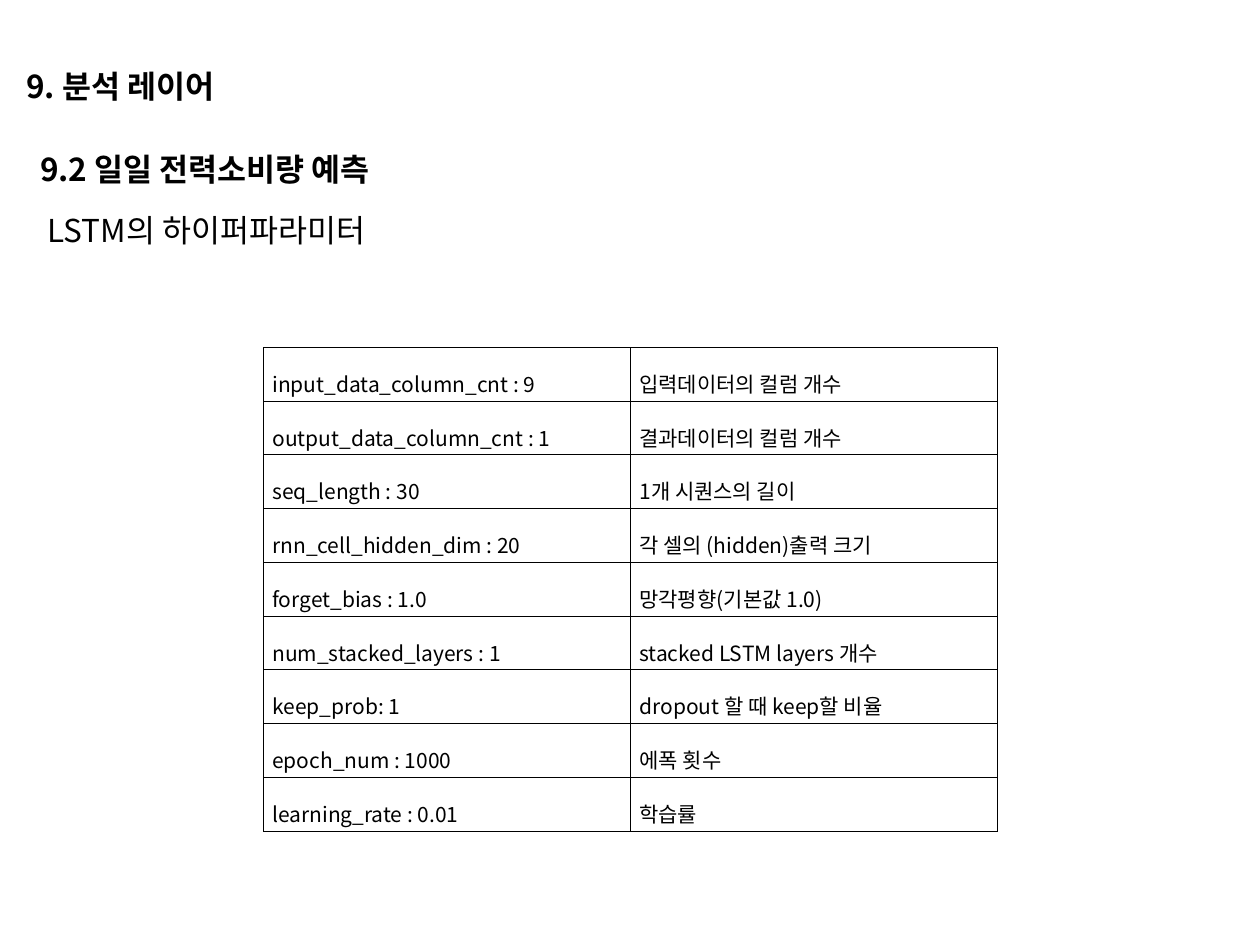
import pptx
import pptx.dml.color
import pptx.enum.text
import pptx.oxml
import pptx.oxml.ns
import pptx.util
from pptx.util import Cm

FONT = "Noto Sans CJK KR"
BLACK = "000000"
HYPERPARAMETERS = [
    ("input_data_column_cnt : 9", "입력데이터의 컬럼 개수"),
    ("output_data_column_cnt : 1", "결과데이터의 컬럼 개수"),
    ("seq_length : 30", "1개 시퀀스의 길이"),
    ("rnn_cell_hidden_dim : 20", "각 셀의 (hidden)출력 크기"),
    ("forget_bias : 1.0", "망각평향(기본값 1.0)"),
    ("num_stacked_layers : 1", "stacked LSTM layers 개수"),
    ("keep_prob: 1", "dropout 할 때 keep할 비율"),
    ("epoch_num : 1000", "에폭 횟수"),
    ("learning_rate : 0.01", "학습률"),
]


def color(hex_string):
    return pptx.dml.color.RGBColor.from_string(hex_string)


def format_text(text_frame, size, bold=False):
    for paragraph in text_frame.paragraphs:
        for run in paragraph.runs:
            run.font.name = FONT
            run.font.size = pptx.util.Pt(size)
            run.font.bold = bold
            run.font.color.rgb = color(BLACK)
            east_asian = pptx.oxml.parse_xml(
                f'<a:ea {pptx.oxml.ns.nsdecls("a")} typeface="{FONT}"/>')
            run.font._element.find(pptx.oxml.ns.qn("a:latin")).addnext(east_asian)


def add_heading(slide, text, left, top, width, bold=True, wrap=False):
    shape = slide.shapes.add_textbox(left, top, width, Cm(1.02))
    text_frame = shape.text_frame
    text_frame.word_wrap = wrap
    text_frame.auto_size = pptx.enum.text.MSO_AUTO_SIZE.SHAPE_TO_FIT_TEXT
    text_frame.text = text
    format_text(text_frame, 18, bold)
    return shape


def add_headings(slide, left, top):
    add_heading(slide, "9. 분석 레이어", left, top, Cm(4.72))
    add_heading(slide, "9.2 일일 전력소비량 예측", left + Cm(0.28), top + Cm(1.68), Cm(7.87))
    subject = add_heading(slide, "LSTM의 하이퍼파라미터", left + Cm(0.28), top + Cm(2.9),
                          Cm(22.2), bold=False, wrap=True)
    subject.text_frame.margin_left = Cm(0.4)


def add_borders(cell, width):
    properties = cell._tc.get_or_add_tcPr()
    for position, side in enumerate(("lnL", "lnR", "lnT", "lnB")):
        properties.insert(position, pptx.oxml.parse_xml(
            f'<a:{side} {pptx.oxml.ns.nsdecls("a")} w="{int(width)}">'
            f'<a:solidFill><a:srgbClr val="{BLACK}"/></a:solidFill></a:{side}>'))


def fill_cell(cell, text):
    cell.text_frame.text = text
    cell.text_frame.paragraphs[0].line_spacing = 1.6
    format_text(cell.text_frame, 12)
    cell.vertical_anchor = pptx.enum.text.MSO_ANCHOR.MIDDLE
    cell.margin_left = cell.margin_right = Cm(0.18)
    cell.margin_top = cell.margin_bottom = Cm(0.05)
    cell.fill.background()
    add_borders(cell, pptx.util.Pt(0.28))


def add_hyperparameter_table(slide, left, top, width, height):
    row_count = len(HYPERPARAMETERS)
    table = slide.shapes.add_table(row_count, 2, left, top, width, height).table
    table.first_row = False
    table.horz_banding = False
    for row, texts in enumerate(HYPERPARAMETERS):
        for column, text in enumerate(texts):
            fill_cell(table.cell(row, column), text)


def main():
    presentation = pptx.Presentation()
    presentation.slide_width = Cm(25.4)
    presentation.slide_height = Cm(19.05)
    slide = presentation.slides.add_slide(presentation.slide_layouts[6])
    add_hyperparameter_table(slide, Cm(5.31), Cm(7), Cm(14.8), Cm(9.72))
    add_headings(slide, Cm(0.28), Cm(1.22))
    presentation.save("out.pptx")


if __name__ == "__main__":
    main()
